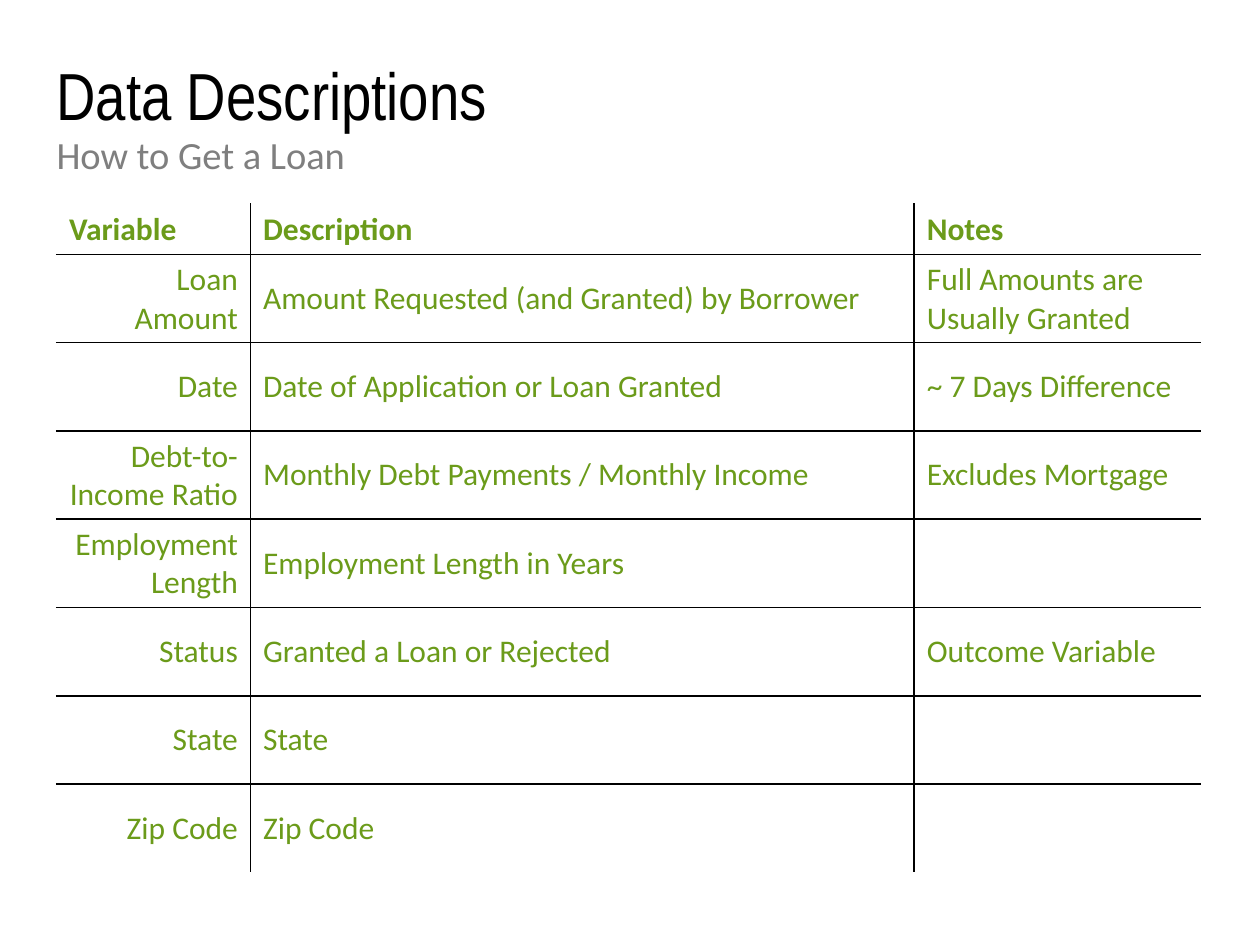
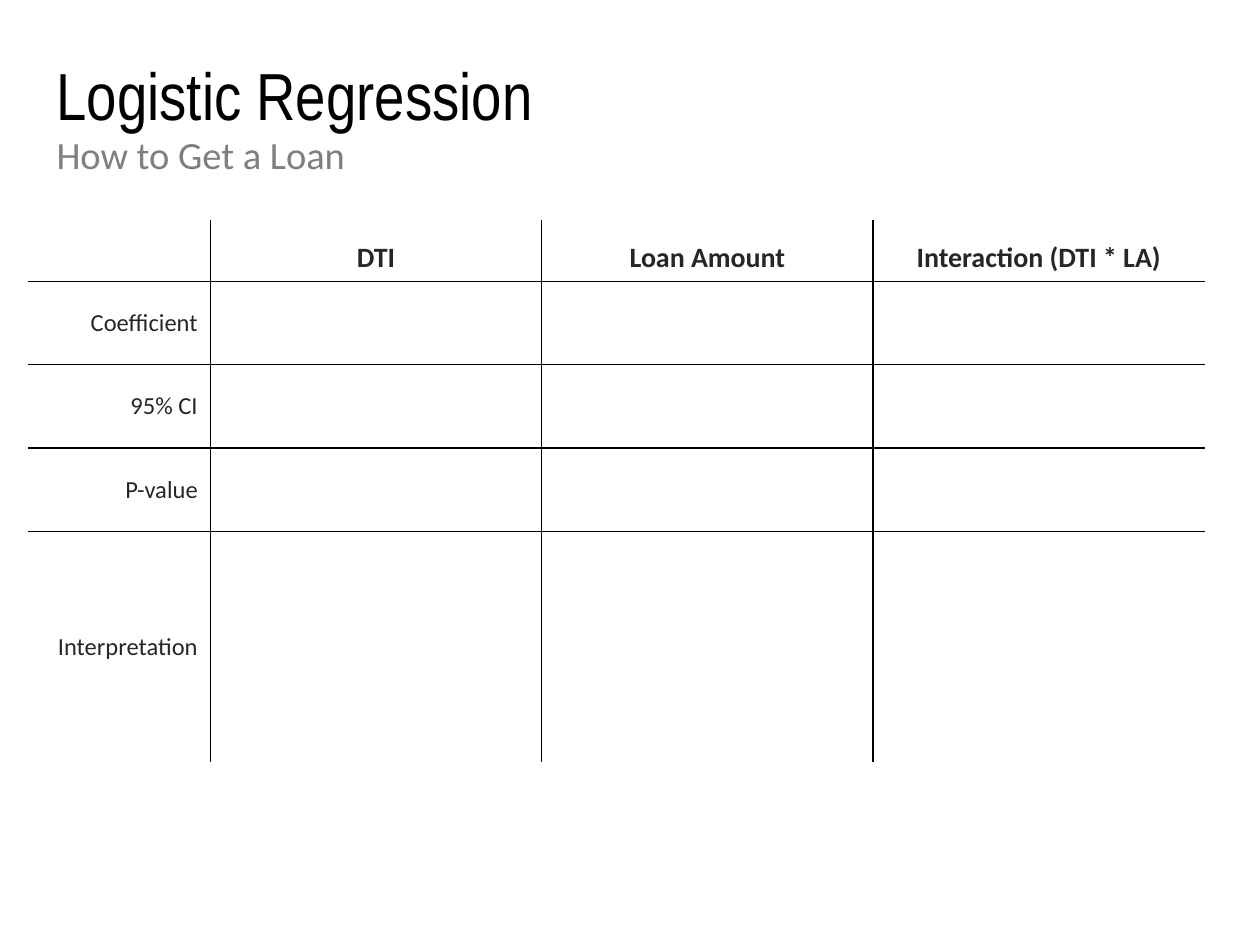
import pptx
import pptx.util
import pptx.dml.color
import pptx.enum.text
import pptx.oxml
import pptx.oxml.ns

Cm = pptx.util.Cm
Pt = pptx.util.Pt
ALIGN = pptx.enum.text.PP_ALIGN
ANCHOR = pptx.enum.text.MSO_ANCHOR

hues = {"ink": "000000", "grey": "7F7F7F", "green": "6B9B1A",
        "dark": "262626", "paper": "FFFFFF"}
heads = [("top", 1.14, 2.97, 38, "Arial Narrow", "ink"),
         ("sub", 2.62, 1.5, 22, "Calibri", "grey")]

pages = [
    {"top": "Data Descriptions", "sub": "How to Get a Loan",
     "at": (1.14, 4.11), "cols": [3.91, 13.38, 5.77],
     "rows": [0.74] + [1.78] * 7,
     "hue": "green", "sizes": (18, 18), "align": ALIGN.LEFT,
     "cells": [
         ("Variable", "Description", "Notes"),
         ("Loan Amount", "Amount Requested (and Granted) by Borrower",
          "Full Amounts are Usually Granted"),
         ("Date", "Date of Application or Loan Granted",
          "~ 7 Days Difference"),
         ("Debt-to-Income Ratio", "Monthly Debt Payments / Monthly Income",
          "Excludes Mortgage"),
         ("Employment Length", "Employment Length in Years", ""),
         ("Status", "Granted a Loan or Rejected", "Outcome Variable"),
         ("State", "State", ""),
         ("Zip Code", "Zip Code", "")]},
    {"top": "Logistic Regression", "sub": "How to Get a Loan",
     "at": (0.58, 4.45), "cols": [3.66] + [6.68] * 3,
     "rows": [1.22] + [1.68] * 3 + [4.67],
     "hue": "dark", "sizes": (16, 14), "align": ALIGN.CENTER,
     "cells": [
         ("", "DTI", "Loan Amount", "Interaction (DTI * LA)"),
         ("Coefficient", "", "", ""),
         ("95% CI", "", "", ""),
         ("P-value", "", "", ""),
         ("Interpretation", "", "", "")]},
]


def write(par, text, size, face, hue, bold=False):
    par.text = text
    par.font.size = Pt(size)
    par.font.name = face
    par.font.bold = bold
    par.font.color.rgb = pptx.dml.color.RGBColor.from_string(hues[hue])


def edge(cell, sides):
    props = cell._tc.get_or_add_tcPr()
    for spot, (side, hue) in enumerate(sides):
        props.insert(spot, pptx.oxml.parse_xml(
            f'<a:ln{side} {pptx.oxml.ns.nsdecls("a")} w="12700">'
            f'<a:solidFill><a:srgbClr val="{hues[hue]}"/></a:solidFill>'
            f'</a:ln{side}>'))


deck = pptx.Presentation()
deck.slide_width = Cm(25.4)
deck.slide_height = Cm(19.05)

for page in pages:
    slide = deck.slides.add_slide(deck.slide_layouts[6])
    for key, top, tall, size, face, hue in heads:
        box = slide.shapes.add_textbox(Cm(1.14), Cm(top), Cm(23.11), Cm(tall))
        frame = box.text_frame
        frame.word_wrap = True
        frame.margin_left = 0
        frame.vertical_anchor = ANCHOR.TOP
        par = frame.paragraphs[0]
        par.line_spacing = 0.9
        write(par, page[key], size, face, hue)

    cols, rows = page["cols"], page["rows"]
    left, top = page["at"]
    grid = slide.shapes.add_table(len(rows), len(cols), Cm(left), Cm(top),
                                  Cm(sum(cols)), Cm(sum(rows))).table
    grid.first_row = False
    grid.horz_banding = False
    for col, wide in zip(grid.columns, cols):
        col.width = Cm(wide)
    for row, tall in zip(grid.rows, rows):
        row.height = Cm(tall)

    for y, line in enumerate(page["cells"]):
        for x, text in enumerate(line):
            cell = grid.cell(y, x)
            cell.fill.background()
            edge(cell, [
                ("L", "ink" if x else "paper"),
                ("R", "ink" if x < len(cols) - 1 else "paper"),
                ("T", "ink" if y else "paper"),
                ("B", "ink" if y < len(rows) - 1 else "paper")])
            cell.vertical_anchor = ANCHOR.MIDDLE if y else ANCHOR.BOTTOM
            if text:
                par = cell.text_frame.paragraphs[0]
                write(par, text, page["sizes"][min(y, 1)], "Calibri",
                      page["hue"], y == 0)
                if y == 0:
                    par.alignment = page["align"]
                else:
                    par.alignment = ALIGN.LEFT if x else ALIGN.RIGHT

deck.save("out.pptx")
